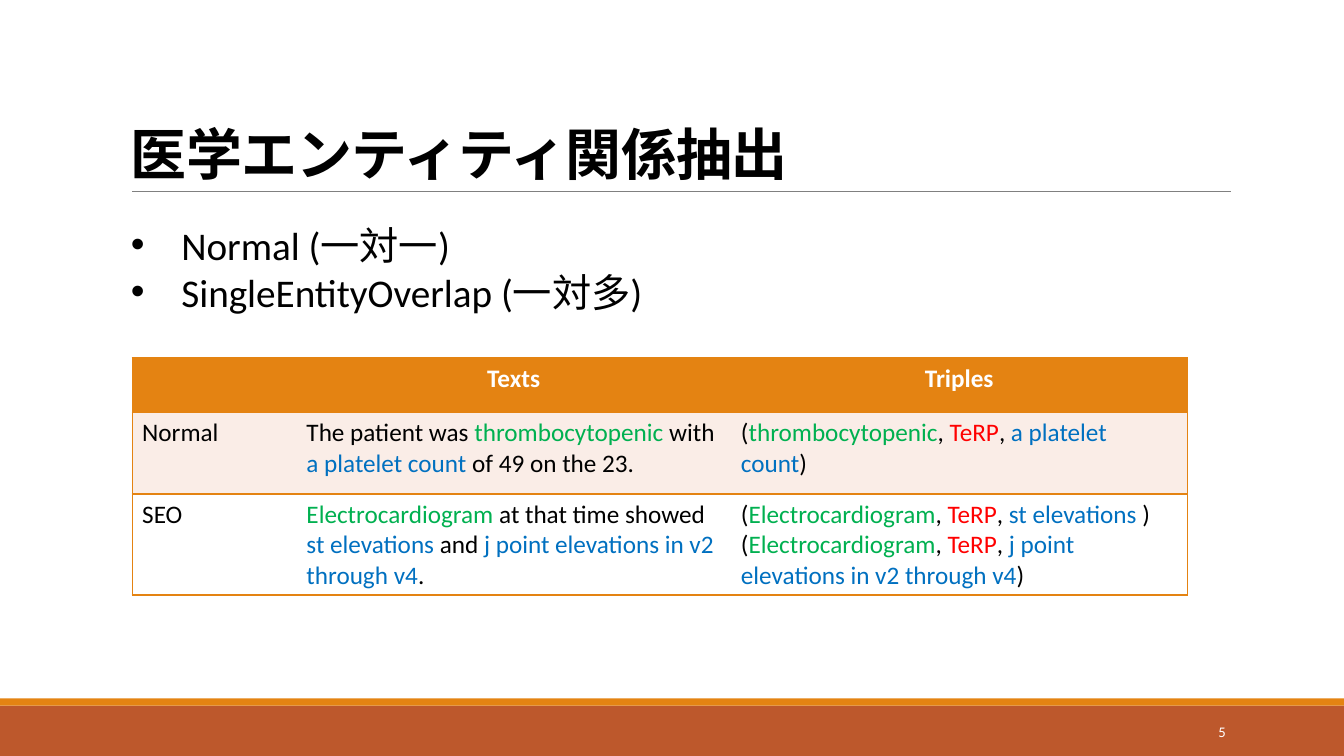
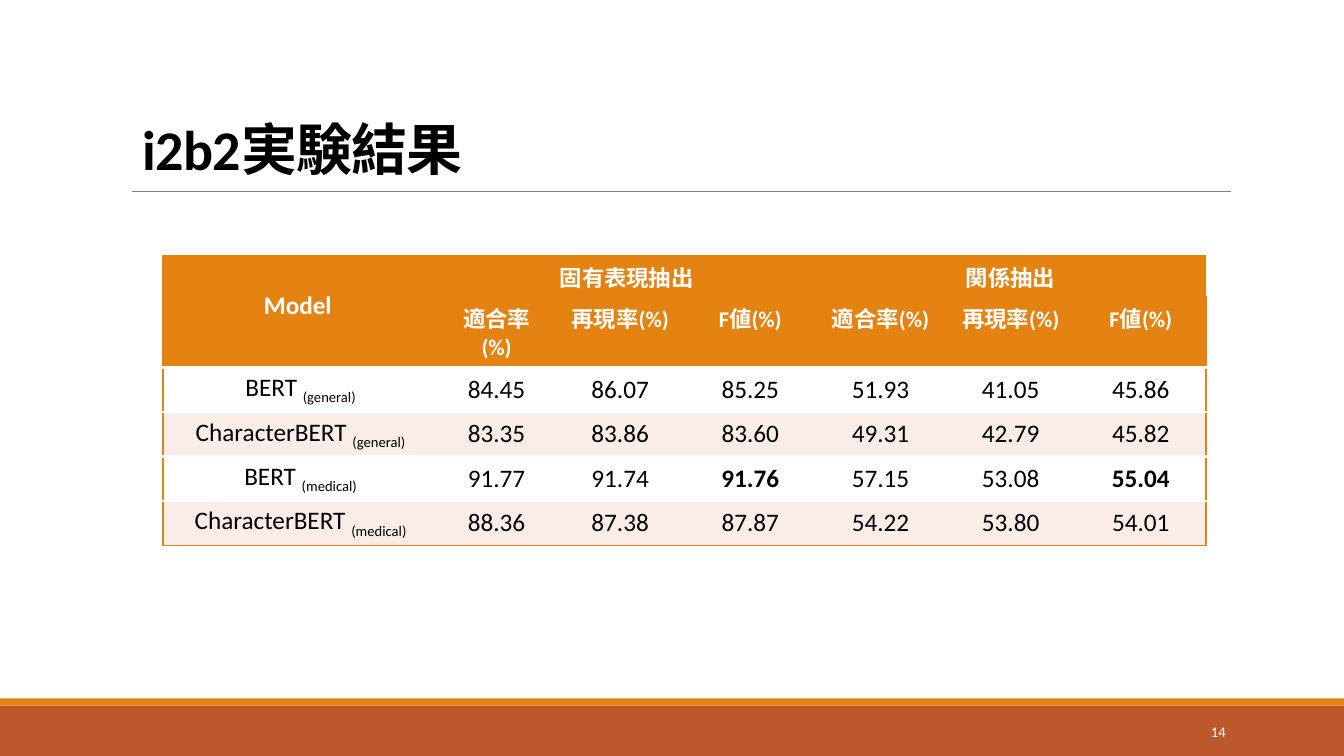
from itertools import accumulate

from lxml.etree import SubElement
from pptx import Presentation
from pptx.dml.color import RGBColor
from pptx.enum.shapes import MSO_CONNECTOR, MSO_SHAPE
from pptx.enum.text import MSO_ANCHOR, PP_ALIGN
from pptx.oxml.ns import qn
from pptx.util import Cm, Pt

COLORS = {
    "black": "000000",
    "white": "FFFFFF",
    "orange": "E48312",
    "rust": "BD582C",
    "rule": "808080",
    "band": "FAEDE7",
    "green": "00B050",
    "blue": "0070C0",
    "red": "FF0000",
}
LATIN_FONT = "Calibri"
JAPANESE_FONT = "Noto Sans CJK JP"
PLAIN_TABLE_STYLE = "{2D5ABB26-0587-4C30-8999-92F81FD0307C}"
EDGE = ("orange", 1)
WHITE_RULE = ("white", 2.25)


def rgb(name):
    return RGBColor.from_string(COLORS[name])


def add_span(para, text, size=18, color="black", bold=False, spacing=None, baseline=None):
    span = para.add_run()
    span.text = text
    font = span.font
    font.size, font.bold, font.name = Pt(size), bold, LATIN_FONT
    font.color.rgb = rgb(color)
    properties = span._r.get_or_add_rPr()
    SubElement(properties, qn("a:ea")).set("typeface", JAPANESE_FONT)
    if spacing is not None:
        properties.set("spc", str(spacing))
    if baseline is not None:
        properties.set("baseline", str(baseline))


def add_bullet(para, indent):
    properties = para._p.get_or_add_pPr()
    properties.set("marL", str(indent))
    properties.set("indent", str(-indent))
    SubElement(properties, qn("a:buFont")).set("typeface", "Arial")
    SubElement(properties, qn("a:buChar")).set("char", "•")


def write_text(frame, paragraphs, align=PP_ALIGN.LEFT, line_spacing=None, bullet_indent=None, **style):
    """Fill a text frame; a paragraph is a string or a list of strings and (text, style) pairs."""
    if isinstance(paragraphs, str):
        paragraphs = [paragraphs]
    frame.word_wrap = True
    for index, spans in enumerate(paragraphs):
        para = frame.add_paragraph() if index else frame.paragraphs[0]
        para.alignment = align
        if line_spacing:
            para.line_spacing = line_spacing
        if bullet_indent:
            add_bullet(para, bullet_indent)
        for part in [spans] if isinstance(spans, str) else spans:
            text, extra = (part, {}) if isinstance(part, str) else part
            add_span(para, text, **{**style, **extra})


def add_text(page, box, paragraphs, anchor=MSO_ANCHOR.TOP, **style):
    frame = page.shapes.add_textbox(*map(Cm, box)).text_frame
    frame.vertical_anchor = anchor
    write_text(frame, paragraphs, **style)


def add_bar(page, box, color):
    bar = page.shapes.add_shape(MSO_SHAPE.RECTANGLE, *map(Cm, box))
    bar.shadow.inherit = False
    bar.fill.solid()
    bar.fill.fore_color.rgb = rgb(color)
    bar.line.fill.background()


def add_rule(page, left, right, top):
    rule = page.shapes.add_connector(MSO_CONNECTOR.STRAIGHT, Cm(left), Cm(top), Cm(right), Cm(top))
    rule.line.color.rgb = rgb("rule")
    rule.line.width = Pt(0.5)
    SubElement(rule._element.spPr, qn("a:effectLst"))


def add_page(deck, title, title_box, number):
    """Add a blank page with the shared footer, title rule, title and page number."""
    page = deck.slides.add_slide(deck.slide_layouts[6])
    add_bar(page, (0, 17.78, 33.87, 1.27), "rust")
    add_bar(page, (0, 17.6, 33.87, 0.18), "orange")
    add_rule(page, 3.33, 31.01, 4.83)
    add_text(page, title_box, title, anchor=MSO_ANCHOR.BOTTOM, size=40, bold=True,
             spacing=-50, line_spacing=0.85)
    add_text(page, (27.51, 17.93, 3.63, 1.02), number, anchor=MSO_ANCHOR.MIDDLE,
             size=10.5, color="white", align=PP_ALIGN.RIGHT)
    return page


def set_borders(cell, **borders):
    """Draw the given sides (L, R, T, B) as (colour, points); call it before the cell is filled."""
    properties = cell._tc.get_or_add_tcPr()
    for side in "LRTB":
        if borders.get(side):
            color, points = borders[side]
            line = SubElement(properties, qn(f"a:ln{side}"), w=str(Pt(points)))
            fill = SubElement(line, qn("a:solidFill"))
            SubElement(fill, qn("a:srgbClr"), val=COLORS[color])


def add_grid(page, corner, widths, heights, fills, header_rows, rule):
    """Add an empty table with an orange edge and a rule above every body row."""
    box = (*corner, sum(widths), sum(heights))
    table = page.shapes.add_table(len(heights), len(widths), *map(Cm, box)).table
    table._tbl.tblPr.find(qn("a:tableStyleId")).text = PLAIN_TABLE_STYLE
    table.first_row = table.horz_banding = False
    for column, width in zip(table.columns, widths):
        column.width = Cm(width)
    for row, height in zip(table.rows, heights):
        row.height = Cm(height)
    levels = [EDGE] + [rule if r >= header_rows else None for r in range(1, len(heights))] + [EDGE]
    for r, fill in enumerate(fills):
        for c in range(len(widths)):
            cell = table.cell(r, c)
            set_borders(cell, T=levels[r], B=levels[r + 1],
                        L=EDGE if c == 0 else None,
                        R=EDGE if c == len(widths) - 1 else None)
            cell.fill.solid()
            cell.fill.fore_color.rgb = rgb(fill)
    return table


def write_cell(cell, paragraphs, anchor=MSO_ANCHOR.TOP, **style):
    cell.vertical_anchor = anchor
    write_text(cell.text_frame, paragraphs, **style)


def green(text):
    return text, {"color": "green"}


def blue(text):
    return text, {"color": "blue"}


def triple(head, tail):
    return ["(", green(head), ", ", ("TeRP", {"color": "red"}), ", ", blue(tail), ")"]


def add_example_table(page, corner):
    table = add_grid(page, corner, [4.14, 10.95, 11.51], [1.37, 2.06, 2.06],
                     ["orange", "band", "white"], 1, EDGE)
    for c, heading in enumerate(["Texts", "Triples"], start=1):
        write_cell(table.cell(0, c), heading, align=PP_ALIGN.CENTER, color="white", bold=True)
    examples = [
        ("Normal",
         [["The patient was ", green("thrombocytopenic "), "with ",
           blue("a platelet count "), "of 49 on the 23."]],
         [triple("thrombocytopenic", "a platelet count")]),
        ("SEO",
         [[green("Electrocardiogram "), "at that time showed ", blue("st elevations "),
           "and ", blue("j point elevations in v2 through v4"), "."]],
         [triple("Electrocardiogram", "st elevations "),
          triple("Electrocardiogram", "j point elevations in v2 through v4")]),
    ]
    for r, example in enumerate(examples, start=1):
        for c, paragraphs in enumerate(example):
            write_cell(table.cell(r, c), paragraphs)


def add_result_table(page, corner):
    table = add_grid(page, corner, [6.93, 2.95] + [3.28] * 5, [1.04] * 6,
                     ["orange"] * 2 + ["white", "band"] * 2, 2, WHITE_RULE)
    header = {"align": PP_ALIGN.CENTER, "color": "white", "bold": True}
    model = table.cell(0, 0)
    model.merge(table.cell(1, 0))
    model.margin_top = Cm(0.9)
    write_cell(model, "Model ", **header)

    measures = ["適合率(%)", "再現率(%)", "F値(%)"]
    tasks = ["固有表現抽出", "関係抽出"]
    starts = accumulate([1] + [len(measures)] * (len(tasks) - 1))
    for start, task in zip(starts, tasks):
        group = table.cell(0, start)
        group.merge(table.cell(0, start + len(measures) - 1))
        write_cell(group, task, anchor=MSO_ANCHOR.MIDDLE, size=16, **header)
        for c, measure in enumerate(measures, start):
            write_cell(table.cell(1, c), measure, size=16, **header)

    results = [
        ("BERT ", "(general)", "84.45 86.07 85.25 51.93 41.05 45.86"),
        ("CharacterBERT ", "(general)", "83.35 83.86 83.60 49.31 42.79 45.82"),
        ("BERT ", "(medical)", "91.77 91.74 91.76 57.15 53.08 55.04"),
        ("CharacterBERT ", "(medical)", "88.36 87.38 87.87 54.22 53.80 54.01"),
    ]
    best = {"91.76", "55.04"}
    for r, (name, domain, scores) in enumerate(results, start=2):
        write_cell(table.cell(r, 0), [[name, (domain, {"baseline": -25000})]], align=PP_ALIGN.CENTER)
        for c, score in enumerate(scores.split(), start=1):
            write_cell(table.cell(r, c), score, anchor=MSO_ANCHOR.MIDDLE,
                       align=PP_ALIGN.CENTER, bold=score in best)


def main():
    deck = Presentation()
    deck.slide_width, deck.slide_height = Cm(33.87), Cm(19.05)

    page = add_page(deck, "医学エンティティ関係抽出", (3.05, 0.79, 27.94, 4.04), "5")
    add_text(page, (3.05, 5.44, 23.9, 3.68), ["Normal (一対一)", "SingleEntityOverlap (一対多)"],
             size=28, bullet_indent=Cm(1.27))
    add_example_table(page, (3.33, 9.02))

    page = add_page(deck, "i2b2実験結果", (3.35, 2.08, 27.76, 2.64), "14")
    add_result_table(page, (4.11, 6.43))

    deck.save("out.pptx")


if __name__ == "__main__":
    main()
